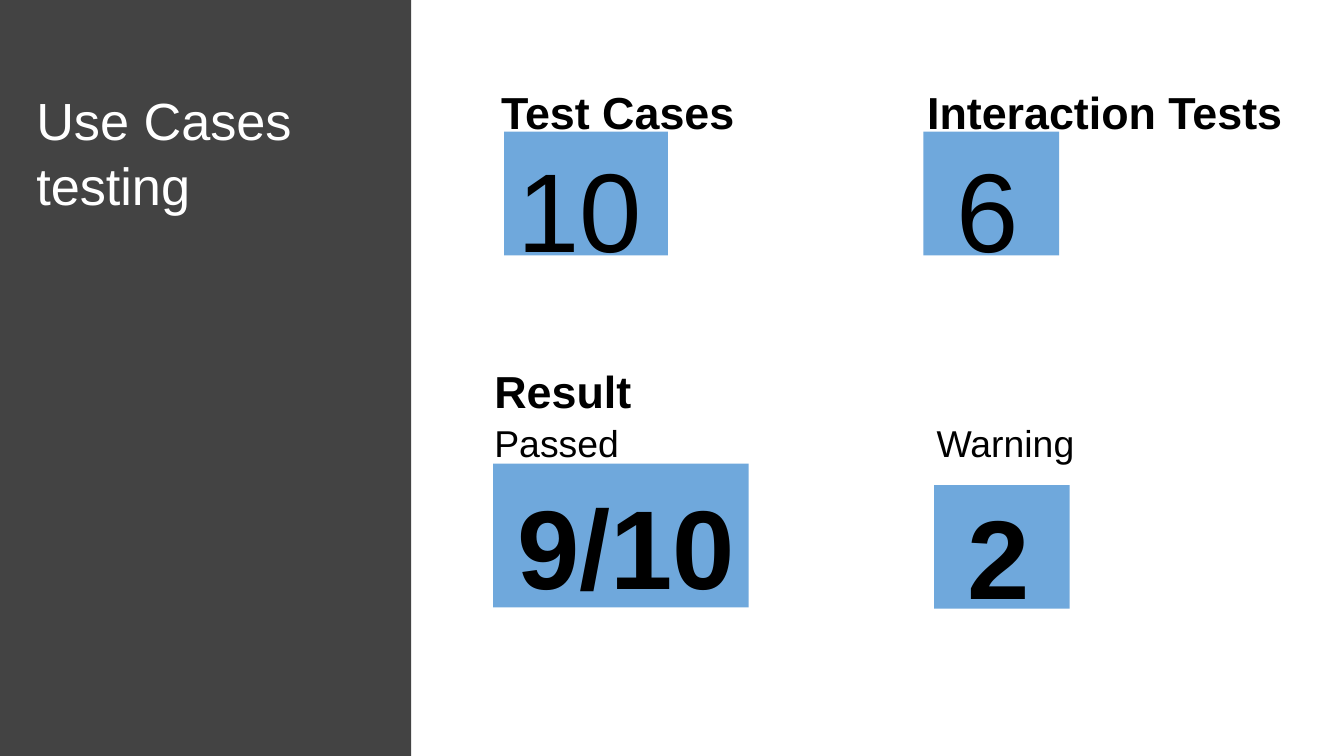
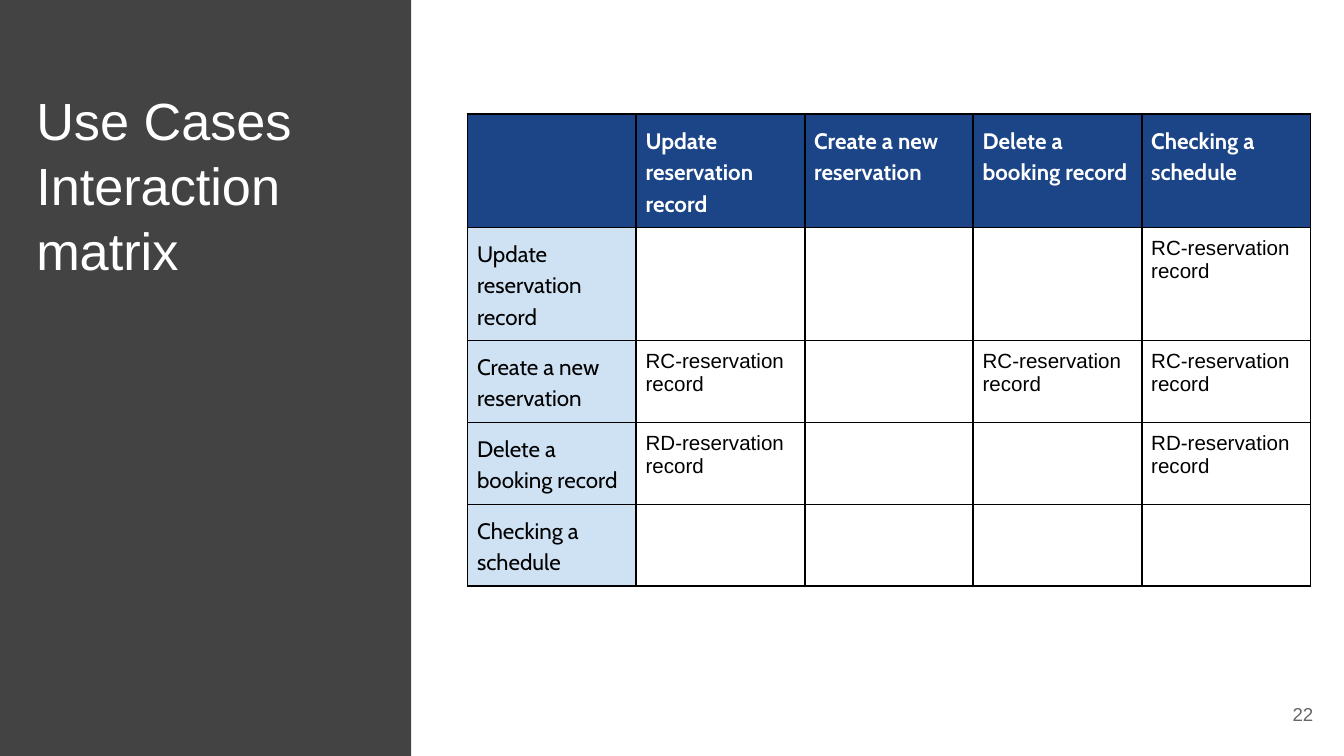
from lxml.etree import SubElement
from pptx import Presentation
from pptx.dml.color import RGBColor as Color
from pptx.enum.shapes import MSO_SHAPE as Preset
from pptx.enum.text import MSO_ANCHOR as Anchor, MSO_AUTO_SIZE as AutoSize, PP_ALIGN as Align
from pptx.oxml.ns import qn
from pptx.util import Inches, Pt

COLORS = {
    "panel": "434343", "tile": "6FA8DC", "header": "1C4587", "side": "CFE2F3",
    "dark": "000000", "light": "FFFFFF", "muted": "666666",
}

# Text formats
TITLE = {"size": 28, "color": "light", "spacing": 1.04}
HEADING = {"size": 24, "bold": True}
LABEL = {"size": 20}
FIGURE = {"size": 60}
BOLD_FIGURE = {"size": 60, "bold": True}
PAGE_NUMBER = {"size": 10, "color": "muted", "align": Align.RIGHT}
COLUMN_HEAD = {"size": 12, "name": "Cabin", "color": "light", "bold": True, "spacing": 1.15}
ROW_HEAD = {"size": 12, "name": "Cabin", "spacing": 1.15}
ENTRY = {"size": 11}


class Deck:
    """Places elements on a grid of 100 columns by 56.25 rows."""
    UNIT = Inches(0.1)

    def __init__(self):
        self.presentation = Presentation()
        self.presentation.slide_width = 100 * self.UNIT
        self.presentation.slide_height = int(56.25 * self.UNIT)
        self.slide = None

    def grid(self, *lengths):
        return [round(length * self.UNIT) for length in lengths]

    def set_text(self, frame, text, style):
        paragraph = frame.paragraphs[0]
        run = paragraph.add_run()
        run.text = text
        values = {"name": "Arial", "bold": False, **style, "size": Pt(style["size"])}
        for attribute in ("name", "size", "bold"):
            setattr(run.font, attribute, values[attribute])
        run.font.color.rgb = Color.from_string(COLORS[style.get("color", "dark")])
        paragraph.alignment = style.get("align", Align.LEFT)
        paragraph.line_spacing = style.get("spacing", 1.0)

    def fill_frame(self, frame, text, style, anchor=Anchor.TOP):
        # Larger type sits a little lower in its box
        drop = 0 if anchor == Anchor.MIDDLE else style["size"] / 80
        inset, top = self.grid(1, 1 + drop)
        settings = {
            "word_wrap": True, "auto_size": AutoSize.NONE, "vertical_anchor": anchor,
            "margin_left": inset, "margin_right": inset,
            "margin_top": top, "margin_bottom": inset,
        }
        for attribute, value in settings.items():
            setattr(frame, attribute, value)
        self.set_text(frame, text, style)

    def add_slide(self, title):
        layout = self.presentation.slide_layouts.get_by_name("Title Only")
        self.slide = self.presentation.slides.add_slide(layout)
        self.rectangle("panel", 0, 0, 30.6, 56.25)
        shape = self.slide.shapes.title
        self.slide.shapes.element.append(shape.element)  # in front of the panel
        shape.left, shape.top, shape.width, shape.height = self.grid(1.7, 5, 28.2, 14.3)
        self.fill_frame(shape.text_frame, title, TITLE)

    def rectangle(self, color, *place):
        shape = self.slide.shapes.add_shape(Preset.RECTANGLE, *self.grid(*place))
        shape.shadow.inherit = False
        shape.fill.solid()
        shape.fill.fore_color.rgb = Color.from_string(COLORS[color])
        shape.line.fill.background()

    def text(self, text, style, *place, anchor=Anchor.TOP):
        shape = self.slide.shapes.add_textbox(*self.grid(*place))
        self.fill_frame(shape.text_frame, text, style, anchor)

    def border(self, cell):
        properties = cell._tc.get_or_add_tcPr()
        for index, side in enumerate(("lnL", "lnR", "lnT", "lnB")):
            line = properties.makeelement(qn("a:" + side), {"w": str(Pt(1))})
            fill = SubElement(line, qn("a:solidFill"))
            SubElement(fill, qn("a:srgbClr"), val=COLORS["dark"])
            properties.insert(index, line)

    def matrix(self, names, entries, left, top, column_width, row_heights):
        count = len(names) + 1
        frame = self.slide.shapes.add_table(count, count, *self.grid(
            left, top, column_width * count, sum(row_heights)))
        table = frame.table
        table.first_row = table.horz_banding = False
        for column in table.columns:
            column.width = self.grid(column_width)[0]
        for row, height in zip(table.rows, row_heights):
            row.height = self.grid(height)[0]

        inset = self.grid(0.7)[0]
        for row in range(count):
            for column in range(count):
                cell = table.cell(row, column)
                for side in ("left", "right", "top", "bottom"):
                    setattr(cell, "margin_" + side, inset)
                if row == 0:
                    text, style, color = names[column - 1] if column else "", COLUMN_HEAD, "header"
                elif column == 0:
                    text, style, color = names[row - 1], ROW_HEAD, "side"
                else:
                    text, style, color = entries.get((row, column), ""), ENTRY, None
                if color:
                    cell.fill.solid()
                    cell.fill.fore_color.rgb = Color.from_string(COLORS[color])
                else:
                    cell.fill.background()
                if text:
                    self.set_text(cell.text_frame, text, style)
                self.border(cell)


def add_results(deck):
    deck.add_slide("Use Cases testing")
    # Tiles behind the figures
    for place in ((68.7, 9.8, 10.1, 9.2), (69.5, 36.1, 10.1, 9.2),
                  (36.7, 34.5, 19, 10.7), (37.5, 9.8, 12.2, 9.2)):
        deck.rectangle("tile", *place)
    # Headings, labels and figures
    for text, style, *place in (
        ("Test Cases", HEADING, 36.3, 5, 36.3, 7.8),
        ("10", FIGURE, 37.5, 8.7, 15.1, 8.3),
        ("Interaction Tests", HEADING, 68, 5, 30.6, 8.3),
        ("6", FIGURE, 70.2, 8.7, 9.6, 9.1),
        ("Result", HEADING, 35.8, 25.8, 36.3, 6.4),
        ("Passed", LABEL, 35.8, 30, 36.3, 6.4),
        ("9/10", BOLD_FIGURE, 37.5, 33.8, 19, 11.2),
        ("Warning", LABEL, 68.7, 30, 36.3, 6.4),
        ("2", BOLD_FIGURE, 71, 34.5, 19, 11.2),
    ):
        deck.text(text, style, *place)


def add_interactions(deck):
    deck.add_slide("Use Cases Interaction matrix")
    use_cases = ["Update reservation record", "Create a new reservation",
                 "Delete a booking record", "Checking a schedule"]
    create, delete = "RC-reservation record", "RD-reservation record"
    entries = {(1, 4): create, (2, 1): create, (2, 3): create, (2, 4): create,
               (3, 1): delete, (3, 4): delete}
    deck.matrix(use_cases, entries, 34.8, 8.5, 12.54, [8.4, 8.4, 6.1, 6.1, 6.1])
    deck.text("22", PAGE_NUMBER, 92.7, 51, 6, 4.3, anchor=Anchor.MIDDLE)


def main():
    deck = Deck()
    add_results(deck)
    add_interactions(deck)
    deck.presentation.save("out.pptx")


if __name__ == "__main__":
    main()
